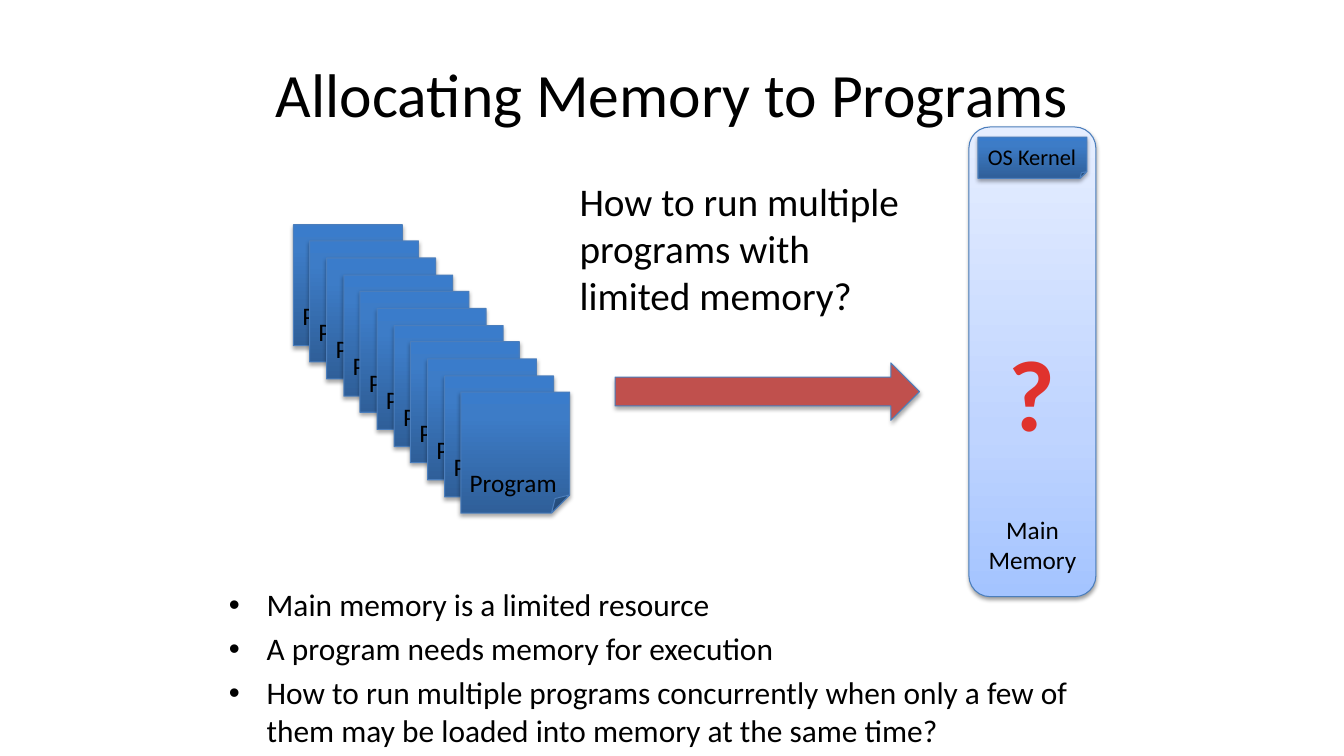
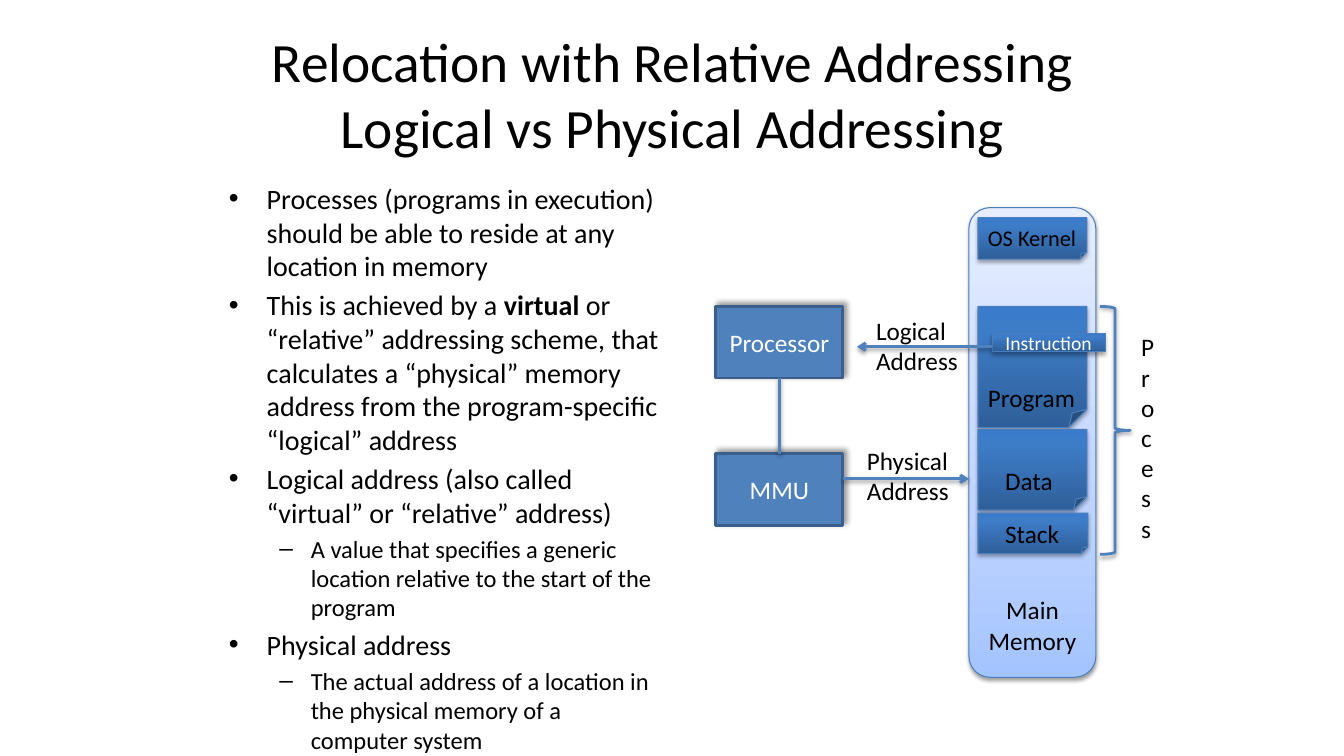
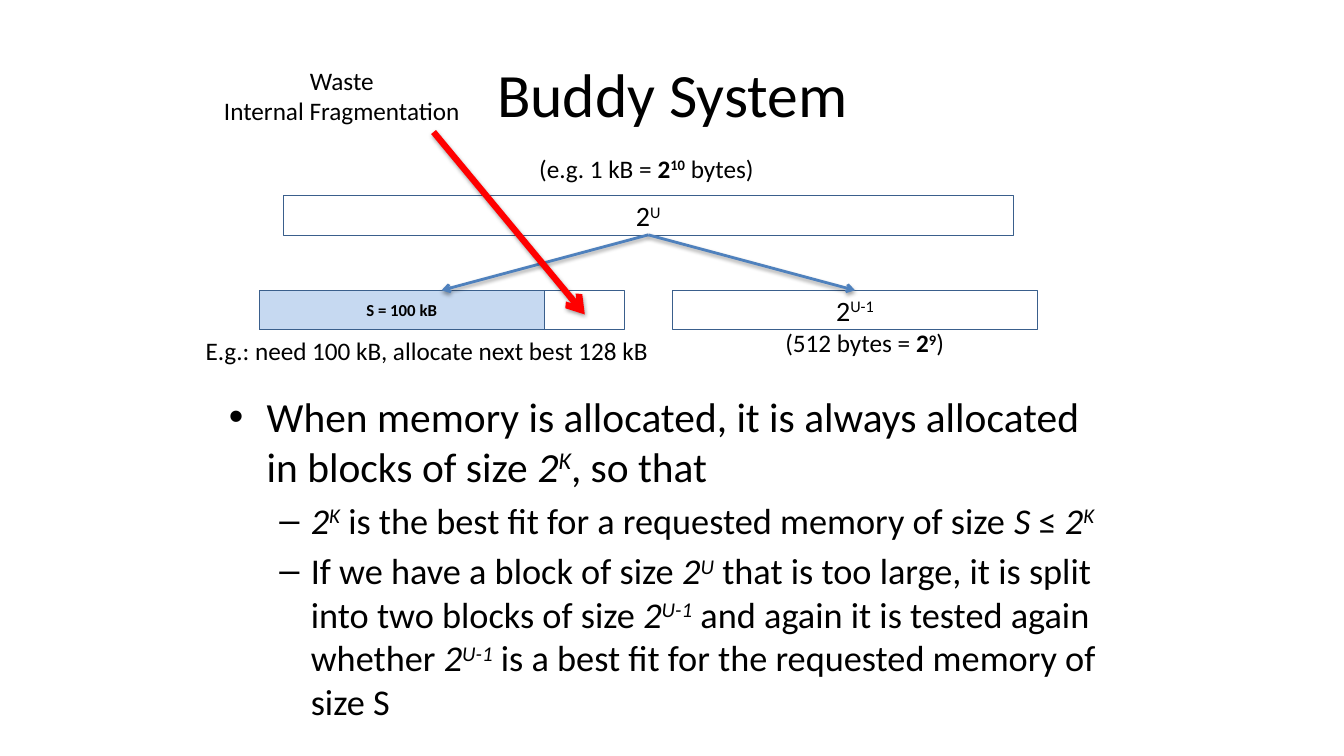
from dataclasses import dataclass

from lxml.etree import SubElement
from pptx import Presentation
from pptx.dml.color import RGBColor
from pptx.enum.shapes import MSO_CONNECTOR, MSO_SHAPE
from pptx.enum.text import MSO_ANCHOR, MSO_AUTO_SIZE, PP_ALIGN
from pptx.oxml.ns import qn
from pptx.util import Emu, Pt

PX = 9144  # 100 px to the inch


@dataclass(frozen=True)
class Theme:
    font: str = "Calibri"
    black: str = "000000"
    white: str = "FFFFFF"
    blue: str = "4F81BD"
    edge: str = "4B7EBC"
    dark_edge: str = "3A5F8C"
    arrow: str = "C0504D"
    question: str = "E0322D"
    waste: str = "FF0000"
    used: str = "C6D9F1"
    page: tuple = ((0, "2F5F99"), (80, "3D7CC7"), (100, "3A7CCB"))
    memory: tuple = ((0, "A4C4FF"), (35, "BFD4FF"), (100, "E6EEFF"))
    # opacity %, blur pt, distance pt, direction in degrees
    page_shadow: tuple = (35, 3.1, 1.8, 90)
    line_shadow: tuple = (38, 3.1, 1.6, 90)
    unit_shadow: tuple = (40, 4, 3, 315)
    title_size: float = 44
    long_title_size: float = 39.6
    question_size: float = 72
    prompt_size: float = 28
    block_size: float = 20
    label_size: float = 18
    kernel_size: float = 16
    instruction_size: float = 14
    used_size: float = 12


THEME = Theme()
TITLE_BOX = (67, 30, 1200, 125)
LINE_BREAK = "\n"

# A paragraph is (level, runs); a run is LINE_BREAK, text or (text, marks):
# b bold, i italic, ^ raised
POWER_K = [("2", "i"), ("K", "i^")]
POWER_U = [("2", "i"), ("U", "i^")]
POWER_U1 = [("2", "i"), ("U-1", "i^")]

ALLOCATION = {
    "title": ["Allocating Memory to Programs"],
    "title_size": THEME.title_size,
    "body_box": (217, 576, 900, 154),
    "body_sizes": (22.4,),
    "body": [
        (0, ["Main memory is a limited resource"]),
        (0, ["A program needs memory for execution"]),
        (0, ["How to run multiple programs concurrently when only a few of "
             "them may be loaded into memory at the same time?"]),
    ],
}
RELOCATION = {
    "title": ["Relocation with Relative Addressing", LINE_BREAK,
              "Logical vs Physical Addressing"],
    "title_size": THEME.long_title_size,
    "body_box": (217, 175, 450, 495),
    "body_sizes": (20, 17.5),
    "body": [
        (0, ["Processes (programs in execution) should be able to reside at any "
             "location in memory"]),
        (0, ["This is achieved by a ", ("virtual", "b"),
             " or “relative” addressing scheme, that calculates a “physical” memory "
             "address from the program-specific “logical” address"]),
        (0, ["Logical address (also called “virtual” or “relative” address)"]),
        (1, ["A value that specifies a generic location relative to the start of "
             "the program"]),
        (0, ["Physical address"]),
        (1, ["The actual address of a location in the physical memory of a "
             "computer system"]),
    ],
}
BUDDY = {
    "title": ["Buddy System"],
    "title_size": THEME.title_size,
    "body_box": (217, 383, 900, 315),
    "body_sizes": (29.6, 25.9),
    "body": [
        (0, ["When memory is allocated, it is always allocated in blocks of size ",
             *POWER_K, ", so that"]),
        (1, [*POWER_K, " is the best fit for a requested memory of size ",
             ("S", "i"), " ≤ ", *POWER_K]),
        (1, ["If we have a block of size ", *POWER_U,
             " that is too large, it is split into two blocks of size ", *POWER_U1,
             " and again it is tested again whether ", *POWER_U1,
             " is a best fit for the requested memory of size S"]),
    ],
}

PROGRAM_COUNT = 11
# page box, label, label box
PROCESS_PARTS = [
    ((970, 304, 108, 120), "Program", (970, 374, 108, 40)),
    ((970, 426, 108, 80), "Data", (987, 457, 68, 40)),
    ((970, 509, 109, 40), "Stack", (987, 509, 75, 40)),
]
ADDRESS_LABELS = [("Logical", (859, 308, 102, 71)), ("Physical", (850, 437, 102, 71))]
ADDRESS_ARROWS = [((984, 344), (850, 344)), ((836, 475), (961, 475))]
BUDDY_LABELS = [
    ((525, 147, 237, 40), ["(e.g. 1 kB = ", ("2", "b"), ("10", "b^"), " bytes)"]),
    ((769, 320, 180, 40), ["(512 bytes = ", ("2", "b"), ("9", "b^"), ")"]),
    ((194, 328, 465, 40), ["E.g.: need 100 kB, allocate next best 128 kB"]),
]


def px(*lengths):
    return [Emu(length * PX) for length in lengths]


def write(frame, paragraphs, sizes, color=THEME.black, align=None, bold=False):
    """Fill a text frame; sizes holds one type size per paragraph level."""
    for index, (level, runs) in enumerate(paragraphs):
        paragraph = frame.paragraphs[0] if index == 0 else frame.add_paragraph()
        paragraph.level = level
        paragraph.alignment = align
        if index == 0:
            paragraph.space_before = Pt(0)
        for item in runs:
            if item == LINE_BREAK:
                paragraph.add_line_break()
                SubElement(paragraph._p[-1], qn("a:rPr"), sz=str(round(sizes[level] * 100)))
                continue
            text, marks = (item, "") if isinstance(item, str) else item
            run = paragraph.add_run()
            run.text = text
            formats = {"name": THEME.font, "size": Pt(sizes[level]),
                       "bold": bold or "b" in marks, "italic": "i" in marks}
            for name, value in formats.items():
                setattr(run.font, name, value)
            run.font.color.rgb = RGBColor.from_string(color)
            if "^" in marks:
                run.font._element.set("baseline", "30000")


def add_label(shapes, box, lines, size=THEME.label_size, wrap=False, **formats):
    frame = shapes.add_textbox(*px(*box)).text_frame
    frame.word_wrap = wrap
    frame.auto_size = MSO_AUTO_SIZE.SHAPE_TO_FIT_TEXT
    write(frame, [(0, runs) for runs in lines], (size,), **formats)


def set_line(item, color, width):
    item.line.color.rgb = RGBColor.from_string(color)
    item.line.width = Pt(width)


def set_shadow(item, shadow):
    """Replace the themed shadow of a shape or connector."""
    properties = item._element.spPr
    effects = properties.find(qn("a:effectLst"))
    if effects is None:
        effects = SubElement(properties, qn("a:effectLst"))
    opacity, blur, distance, direction = shadow
    outer = SubElement(effects, qn("a:outerShdw"), blurRad=str(Pt(blur)),
                       dist=str(Pt(distance)), dir=str(direction * 60000),
                       rotWithShape="0")
    tint = SubElement(outer, qn("a:srgbClr"), val=THEME.black)
    SubElement(tint, qn("a:alpha"), val=str(opacity * 1000))


def set_fill(shape, fill):
    """Fill with nothing, one colour, or gradient stops running upwards."""
    if fill is None:
        shape.fill.background()
    elif isinstance(fill, str):
        shape.fill.solid()
        shape.fill.fore_color.rgb = RGBColor.from_string(fill)
    else:
        shape.fill.gradient()
        shape.fill.gradient_angle = 90
        stops = shape._element.spPr.find(".//" + qn("a:gsLst"))
        stops.clear()
        for position, color in fill:
            stop = SubElement(stops, qn("a:gs"), pos=str(position * 1000))
            SubElement(stop, qn("a:srgbClr"), val=color)


def add_box(shapes, kind, box, fill=None, line=(THEME.edge, 0.75), shadow=None,
            runs=None, size=THEME.label_size, color=THEME.white, bold=False):
    shape = shapes.add_shape(kind, *px(*box))
    set_fill(shape, fill)
    set_line(shape, *line)
    shape.shadow.inherit = False
    if shadow:
        set_shadow(shape, shadow)
    if runs:
        shape.text_frame.word_wrap = True
        shape.text_frame.vertical_anchor = MSO_ANCHOR.MIDDLE
        write(shape.text_frame, [(0, runs)], (size,), color, PP_ALIGN.CENTER, bold)
    return shape


def add_line(shapes, start, end, color=THEME.blue, width=2, arrow=True):
    """Draw a line; each end is a point or a (shape, side) pair to join."""
    points = [place if isinstance(place[0], int) else (0, 0) for place in (start, end)]
    connector = shapes.add_connector(MSO_CONNECTOR.STRAIGHT, *px(*points[0], *points[1]))
    if not isinstance(start[0], int):
        connector.begin_connect(*start)
    if not isinstance(end[0], int):
        connector.end_connect(*end)
    set_line(connector, color, width)
    if arrow:
        SubElement(connector.line._get_or_add_ln(), qn("a:tailEnd"), type="arrow")
    set_shadow(connector, THEME.line_shadow)


def add_page(shapes, box, label, label_box, size=THEME.label_size):
    add_box(shapes, MSO_SHAPE.FOLDED_CORNER, box, THEME.page, shadow=THEME.page_shadow)
    add_label(shapes, label_box, [[label]], size)


def add_memory(shapes, top):
    add_box(shapes, MSO_SHAPE.ROUNDED_RECTANGLE, (961, top, 126, 466), THEME.memory,
            shadow=THEME.line_shadow)
    add_label(shapes, (970, top + 379, 108, 71), [["Main"], ["Memory"]],
              align=PP_ALIGN.CENTER)
    add_page(shapes, (970, top + 10, 108, 41), "OS Kernel", (970, top + 11, 109, 37),
             THEME.kernel_size)


def add_slide(presentation, content):
    slide = presentation.slides.add_slide(presentation.slide_layouts[1])
    title, body = slide.placeholders
    body.left, body.top, body.width, body.height = px(*content["body_box"])
    for placeholder in (title, body):
        placeholder.text_frame.auto_size = MSO_AUTO_SIZE.NONE
    write(title.text_frame, [(0, content["title"])], (content["title_size"],))
    write(body.text_frame, content["body"], content["body_sizes"])
    return slide.shapes


def draw_allocation(shapes):
    for index in range(PROGRAM_COUNT):
        shift = index * 50 // 3
        program = shapes.add_group_shape().shapes
        add_page(program, (291 + shift, 223 + shift, 108, 120), "Program",
                 (290 + shift, 293 + shift, 108, 40))
    add_memory(shapes, 126)
    add_box(shapes, MSO_SHAPE.RIGHT_ARROW, (610, 360, 302, 57), THEME.arrow,
            shadow=THEME.page_shadow)
    add_label(shapes, (565, 171, 360, 151),
              [["How to run multiple programs with limited memory?"]],
              THEME.prompt_size, wrap=True)
    add_label(shapes, (990, 323, 68, 131), [["?"]], THEME.question_size,
              color=THEME.question, bold=True)


def draw_relocation(shapes):
    processor, mmu = [
        add_box(shapes, MSO_SHAPE.RECTANGLE, (710, top, 126, 71), THEME.blue,
                (THEME.dark_edge, 2), THEME.unit_shadow, [name])
        for name, top in (("Processor", 304), ("MMU", 450))]
    add_memory(shapes, 206)
    for part in PROCESS_PARTS:
        add_page(shapes, *part)
    add_box(shapes, MSO_SHAPE.RECTANGLE, (984, 331, 112, 18), THEME.page,
            shadow=THEME.page_shadow, runs=["Instruction"], size=THEME.instruction_size)
    add_line(shapes, (mmu, 0), (processor, 2), arrow=False)
    for start, end in ADDRESS_ARROWS:
        add_line(shapes, start, end)
    for name, box in ADDRESS_LABELS:
        add_label(shapes, box, [[name], ["Address"]])
    add_box(shapes, MSO_SHAPE.RIGHT_BRACE, (1091, 304, 30, 246), line=(THEME.blue, 2),
            shadow=THEME.line_shadow)
    add_label(shapes, (1122, 324, 30, 222), [["Process"]], wrap=True)


def draw_buddy(shapes):
    block = {"line": (THEME.dark_edge, 0.25), "size": THEME.block_size,
             "color": THEME.black}
    add_box(shapes, MSO_SHAPE.RECTANGLE, (257, 288, 283, 39), THEME.used,
            runs=["S = 100 kB"], bold=True, **{**block, "size": THEME.used_size})
    whole, left_half, right_half = [
        add_box(shapes, MSO_SHAPE.RECTANGLE, box, runs=runs, **block)
        for box, runs in (((281, 194, 724, 39), ["2", ("U", "^")]),
                          ((257, 288, 362, 39), None),
                          ((667, 288, 362, 39), ["2", ("U-1", "^")]))]
    for half in (left_half, right_half):
        add_line(shapes, (whole, 2), (half, 0))
    for box, runs in BUDDY_LABELS:
        add_label(shapes, box, [runs])
    add_line(shapes, (430, 131), (580, 312), THEME.waste, 4.5)
    add_label(shapes, (210, 60, 258, 71), [["Waste"], ["Internal Fragmentation"]],
              align=PP_ALIGN.CENTER)


def main():
    presentation = Presentation()
    presentation.slide_width, presentation.slide_height = px(1333, 750)
    title = presentation.slide_layouts[1].placeholders[0]
    title.left, title.top, title.width, title.height = px(*TITLE_BOX)
    for content, draw in ((ALLOCATION, draw_allocation), (RELOCATION, draw_relocation),
                          (BUDDY, draw_buddy)):
        draw(add_slide(presentation, content))
    presentation.save("out.pptx")


if __name__ == "__main__":
    main()
